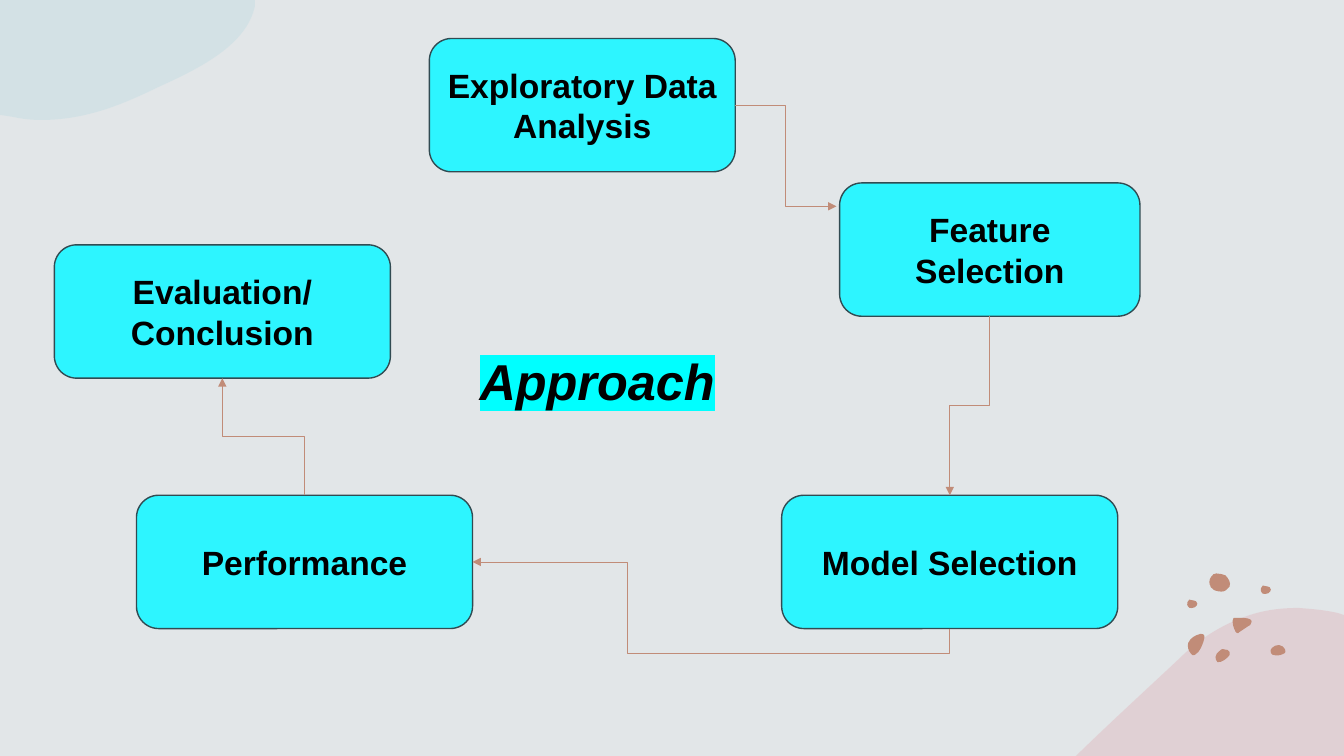
from lxml import etree
from pptx import Presentation
from pptx import util as u
from pptx.dml.color import RGBColor
from pptx.enum import shapes, text
from pptx.oxml.ns import qn

WIDTH, HEIGHT = 33.87, 19.05
GRID = 0.0254
BOX_HEIGHT = 3.36
CYAN, CLAY, SLATE, BLACK = "2DF5FF", "C18C78", "314B52", "000000"

STAGES = {
    "exploration": ("Exploratory Data Analysis", 10.82, 0.97, 7.71),
    "features": ("Feature Selection", 21.16, 4.61, 7.57),
    "model": ("Model Selection", 19.7, 12.48, 8.47),
    "performance": ("Performance", 3.44, 12.48, 8.47),
    "evaluation": ("Evaluation/\vConclusion", 1.37, 6.17, 8.47),
}

PINK_HILL = [(0, 147), (35, 113), (70, 81), (102, 51), (124, 29), (147, 16), (170, 8),
             (187, 2), (204, 0), (221, 0), (234, 1), (247, 2), (260, 5)]
BLUE_CLOUD = [(253, 6), (245, 44), (200, 67), (158, 86), (123, 103), (86, 119), (41, 119),
              (31, 119), (22, 118), (13, 116)]
SPECK = [(0, 5), (0, 4), (0, 1), (2, 0), (4, 0), (5, 0), (7, 1), (8, 1), (10, 2), (10, 4),
         (10, 5), (9, 7), (8, 7), (8, 7), (8, 8), (6, 8), (5, 8), (3, 9), (2, 8),
         (1, 7), (0, 6), (0, 5)]
PEBBLES = [
    (28, 75, [(7, 0), (9, 0), (10, 0), (12, 1), (14, 2), (15, 4), (14, 6), (12, 9), (6, 14),
              (2, 13), (1, 12), (0, 10), (0, 8), (0, 6), (2, 3), (4, 2), (5, 1), (6, 0), (7, 0)]),
    (1, 60, [(12, 0), (14, 0), (16, 0), (16, 2), (16, 3), (16, 3), (16, 4), (15, 9), (13, 14),
             (10, 18), (8, 20), (5, 23), (3, 20), (0, 17), (-1, 12), (0, 9), (1, 6), (3, 5),
             (5, 3), (6, 3), (9, 0), (12, 0)]),
    (83, 71, [(8, 0), (10, 0), (13, 2), (14, 4), (15, 6), (15, 8), (12, 9), (9, 11), (1, 11),
              (0, 8), (-1, 6), (0, 4), (1, 3), (3, 1), (5, 0), (8, 0)]),
    (22, 0, [(1, 12), (0, 12), (-1, 6), (2, 3), (4, 1), (4, 0), (7, 0), (10, 0), (14, 1),
             (16, 2), (18, 4), (22, 9), (20, 13), (17, 16), (16, 18), (12, 18), (9, 18),
             (4, 17), (3, 15), (1, 14), (1, 13), (1, 12)]),
    (73, 12, SPECK),
    (0, 26, SPECK),
    (45, 44, [(5, 0), (11, 0), (22, 0), (18, 6), (18, 7), (17, 8), (16, 8), (13, 10), (10, 12),
              (7, 14), (6, 15), (5, 16), (4, 15), (4, 15), (3, 14), (3, 14), (1, 10), (0, 7),
              (0, 3), (0, 2), (0, 1), (1, 0), (1, 0), (2, 0), (2, 0), (3, 0), (4, 0), (5, 0)]),
]


def color(hex_value):
    """Turn a hex string into a colour."""
    return RGBColor.from_string(hex_value)


def apply_format(target, values):
    """Set each attribute named in values on target."""
    for name, value in values.items():
        setattr(target, name, value)


def fill_with(shape, hex_value, opacity=100):
    """Give a shape a plain fill and no shadow."""
    shape.shadow.inherit = False
    shape.fill.solid()
    shape.fill.fore_color.rgb = color(hex_value)
    if opacity < 100:
        tone = shape.fill._xPr.find(".//" + qn("a:srgbClr"))
        etree.SubElement(tone, qn("a:alpha"), val=str(opacity * 1000))


def write(frame, words, size, anchor, italic=False):
    """Put centred bold words in a text frame and return their first run."""
    apply_format(frame, {"word_wrap": True, "vertical_anchor": anchor, "text": words})
    paragraph = frame.paragraphs[0]
    paragraph.alignment = text.PP_ALIGN.CENTER
    for run in paragraph.runs:
        apply_format(run.font, {"name": "Arial", "size": u.Pt(size), "bold": True, "italic": italic})
        run.font.color.rgb = color(BLACK)
    return paragraph.runs[0]


def add_blob(parent, left, top, knots, hex_value, corners=(), opacity=100):
    """Draw an outline of cubic curves, closed through its corners, from the given corner point."""
    outline = [(u.Cm(left + x * GRID), u.Cm(top + y * GRID)) for x, y in [*knots, *corners]]
    builder = parent.shapes.build_freeform(*outline[0])
    builder.add_line_segments(outline[1:])
    blob = builder.convert_to_shape()
    segments = list(blob._element.spPr.iter(qn("a:lnTo")))
    for first in range(0, len(knots) - 1, 3):
        curve = etree.Element(qn("a:cubicBezTo"))
        segments[first].addprevious(curve)
        for segment in segments[first:first + 3]:
            curve.append(segment[0])
            segment.getparent().remove(segment)
    fill_with(blob, hex_value, opacity)
    blob.line.fill.background()


def add_pebbles(slide, left, top):
    """Scatter the grouped pebbles from the given corner point."""
    pebbles = slide.shapes.add_group_shape()
    for x, y, knots in PEBBLES:
        add_blob(pebbles, left + x * GRID, top + y * GRID, knots, CLAY)


def add_stage(slide, words, left, top, width):
    """Draw one step and return the middles of its sides."""
    stage = slide.shapes.add_shape(shapes.MSO_SHAPE.ROUNDED_RECTANGLE, u.Cm(left), u.Cm(top),
                                   u.Cm(width), u.Cm(BOX_HEIGHT))
    fill_with(stage, CYAN)
    stage.line.color.rgb = color(SLATE)
    stage.line.width = u.Pt(1)
    write(stage.text_frame, words, 24, text.MSO_ANCHOR.MIDDLE)
    center, middle = left + width / 2, top + BOX_HEIGHT / 2
    return {"top": (center, top), "bottom": (center, top + BOX_HEIGHT),
            "left": (left, middle), "right": (left + width, middle)}


def add_title(slide, left, top, width, height):
    """Write the highlighted title at the bottom of its box."""
    title = slide.shapes.add_textbox(u.Cm(left), u.Cm(top), u.Cm(width), u.Cm(height))
    run = write(title.text_frame, "Approach", 36, text.MSO_ANCHOR.BOTTOM, italic=True)
    highlight = etree.Element(qn("a:highlight"))
    etree.SubElement(highlight, qn("a:srgbClr"), val="00FFFF")
    run.font._element.find(qn("a:solidFill")).addnext(highlight)


def add_arrow(slide, start, end, upright=True, bends=()):
    """Draw an elbow arrow; an upright one leaves its start vertically."""
    begin, finish = start, end
    if upright:
        center, middle = (start[0] + end[0]) / 2, (start[1] + end[1]) / 2
        begin, finish = ((center + y - middle, middle - x + center) for x, y in (start, end))
    arrow = slide.shapes.add_connector(shapes.MSO_CONNECTOR.ELBOW,
                                       *(u.Cm(value) for value in (*begin, *finish)))
    arrow.line.color.rgb = color(CLAY)
    arrow.line.width = u.Pt(0.5)
    properties = arrow._element.spPr
    if upright:
        properties.find(qn("a:xfrm")).set("rot", str(90 * 60000))
    if bends:
        geometry = properties.find(qn("a:prstGeom"))
        geometry.set("prst", "bentConnector4")
        for number, bend in enumerate(bends, 1):
            etree.SubElement(geometry.find(qn("a:avLst")), qn("a:gd"),
                             name=f"adj{number}", fmla=f"val {bend}")
    etree.SubElement(properties.find(qn("a:ln")), qn("a:tailEnd"), type="triangle")
    etree.SubElement(properties, qn("a:effectLst"))


def add_backdrop(slide):
    """Paint the background and its decorations."""
    slide.background.fill.solid()
    slide.background.fill.fore_color.rgb = color("E2E6E8")
    add_blob(slide, 27.11, 15.32, PINK_HILL, "E0BCC2", [(266, 7), (266, 147)], 50)
    add_pebbles(slide, 29.92, 14.45)
    add_blob(slide, 0, 0, BLUE_CLOUD, "C6DEE4", [(0, 114), (0, 0), (253, 0)], 50)


def add_approach(slide):
    """Place the title, the steps and the arrows between them."""
    add_title(slide, 8.38, 6.79, 13.34, 3.68)
    sides = {name: add_stage(slide, *stage) for name, stage in STAGES.items()}
    add_arrow(slide, sides["exploration"]["right"], (21.08, 5.2), upright=False)
    add_arrow(slide, sides["features"]["bottom"], sides["model"]["top"])
    add_arrow(slide, sides["model"]["bottom"], sides["performance"]["right"], bends=(-37800, 67600))
    add_arrow(slide, sides["performance"]["top"], sides["evaluation"]["bottom"])


def main():
    """Build and save the presentation."""
    deck = Presentation()
    apply_format(deck, {"slide_width": u.Cm(WIDTH), "slide_height": u.Cm(HEIGHT)})
    slide = deck.slides.add_slide(deck.slide_layouts[6])
    add_backdrop(slide)
    add_approach(slide)
    deck.save("out.pptx")


if __name__ == "__main__":
    main()
